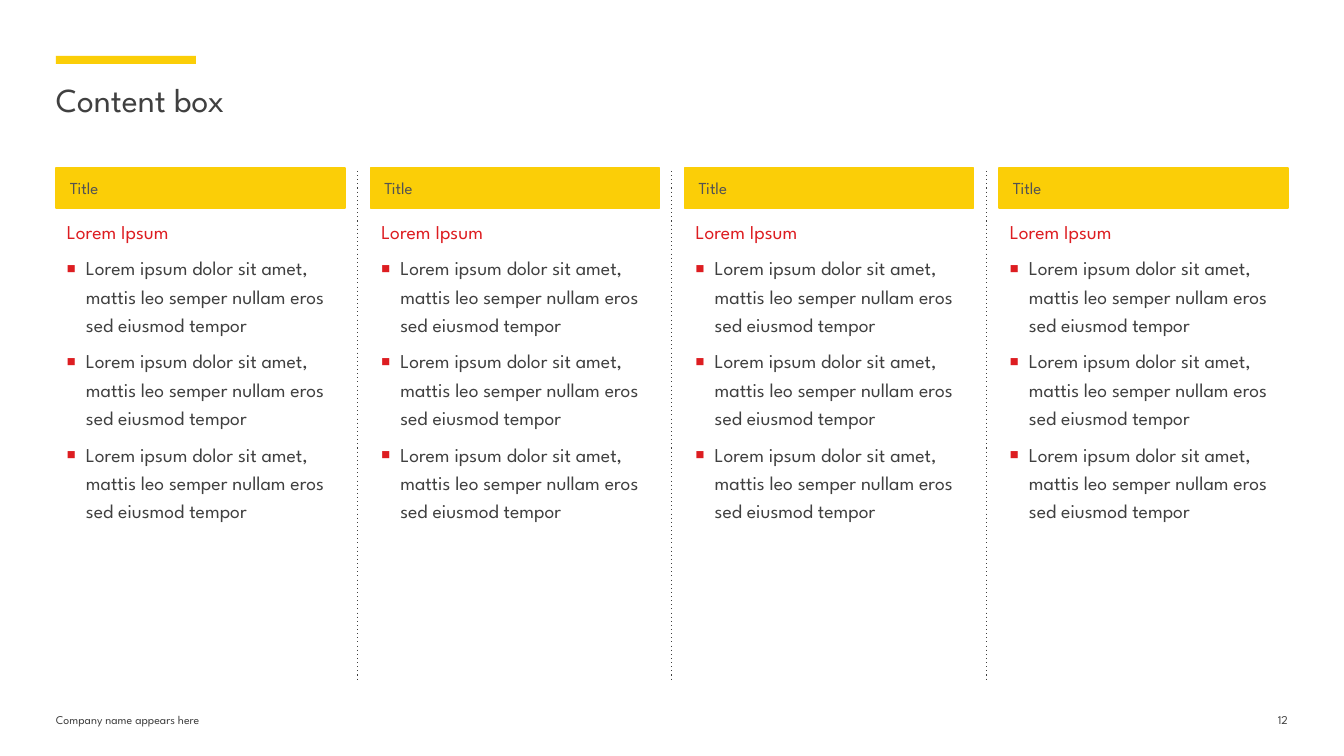
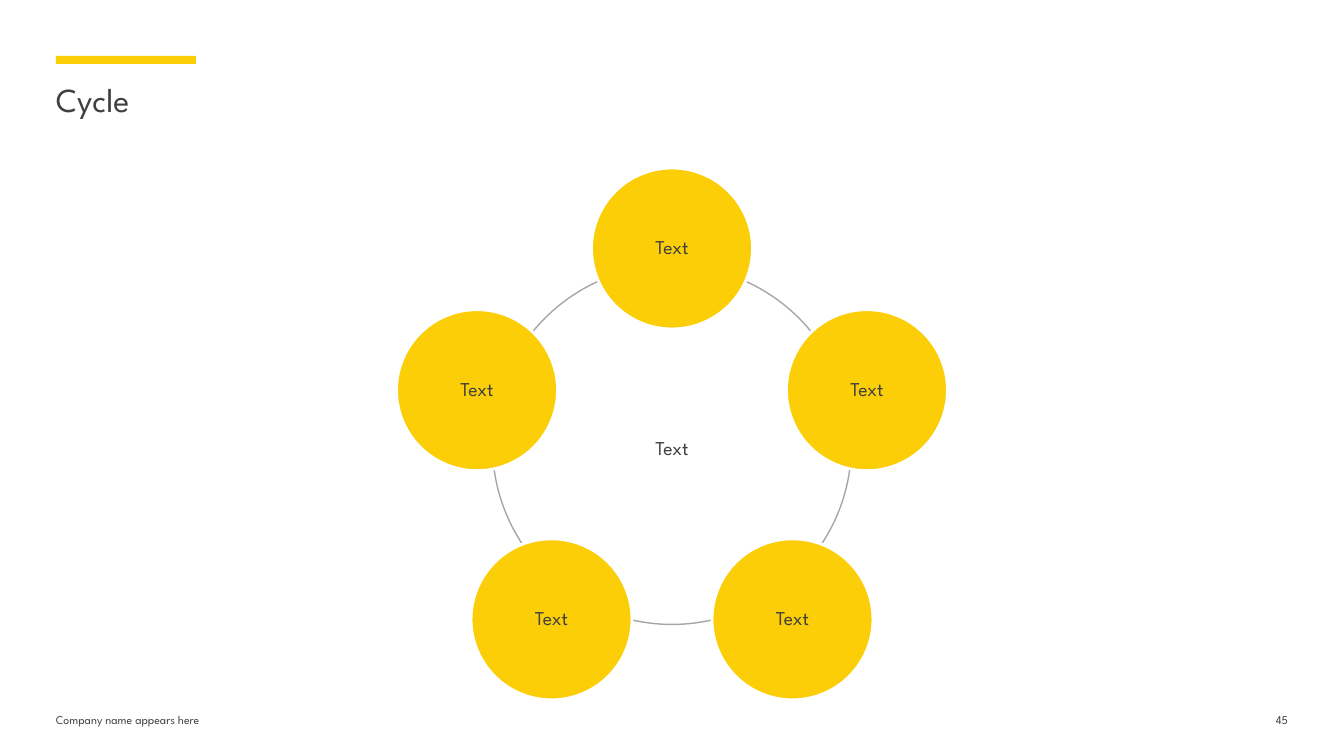
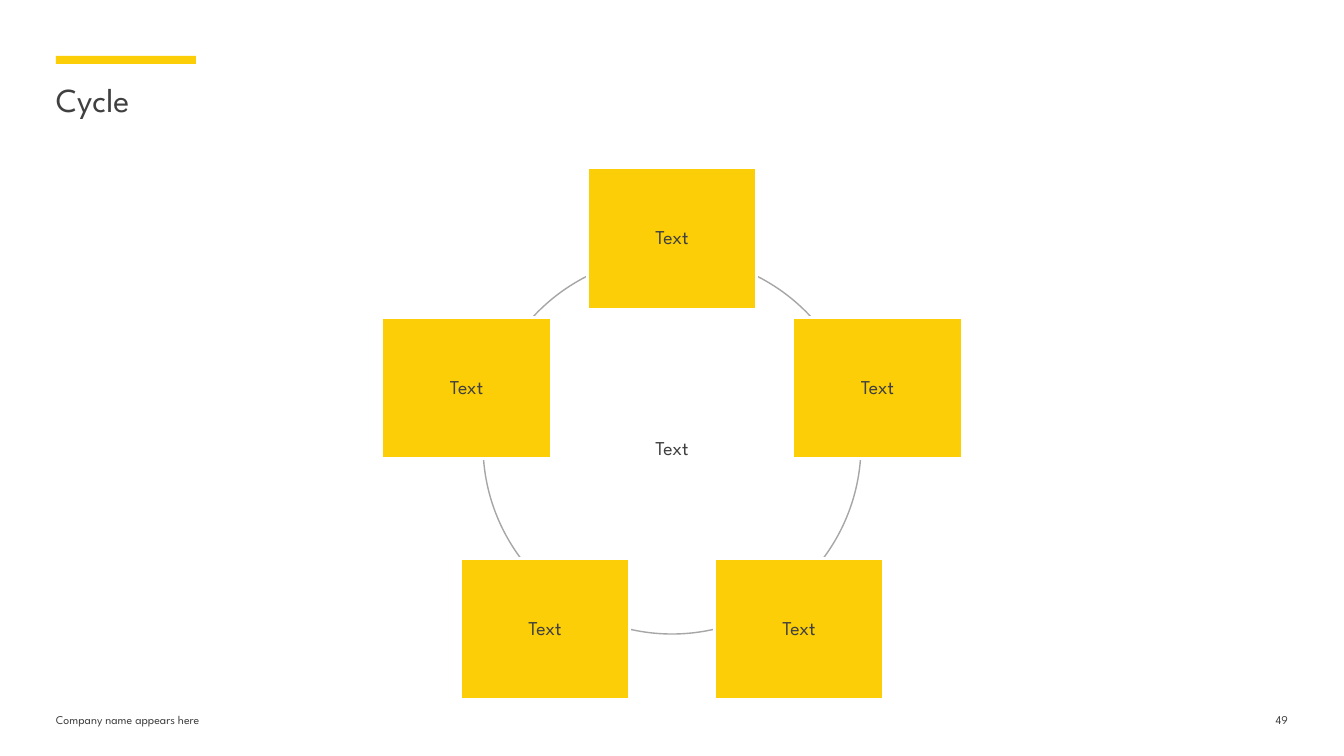
import math
from dataclasses import dataclass

from lxml import etree
from pptx import Presentation
from pptx import util as u
from pptx.dml.color import RGBColor
from pptx.enum import shapes, text
from pptx.oxml.ns import qn

EMU_PER_PX = 914400 / 100.8


def px(length):
    return u.Emu(round(length * EMU_PER_PX))


@dataclass(frozen=True)
class Theme:
    font: str = "League Spartan"
    yellow: str = "FBCE07"
    red: str = "DD1D21"
    ink: str = "404040"
    band_ink: str = "535353"
    grey: str = "A6A6A6"
    white: str = "FFFFFF"
    title_size: float = 24
    text_size: float = 14
    band_size: float = 12
    footer_size: float = 8.5


THEME = Theme()
WIDTH, HEIGHT = 1344, 756
MARGIN = 56
CONTENT_WIDTH = WIDTH - 2 * MARGIN
CONTENT_TOP = 168
TITLE_ONLY, COMPARISON = 5, 4
LEFT, CENTER, RIGHT = text.PP_ALIGN.LEFT, text.PP_ALIGN.CENTER, text.PP_ALIGN.RIGHT
TOP, MIDDLE = text.MSO_ANCHOR.TOP, text.MSO_ANCHOR.MIDDLE
RECTANGLE, OVAL = shapes.MSO_SHAPE.RECTANGLE, shapes.MSO_SHAPE.OVAL


class Deck:
    def __init__(self, theme):
        self.theme = theme
        self.deck = Presentation()
        self.deck.slide_width, self.deck.slide_height = px(WIDTH), px(HEIGHT)
        self.slide = None

    def new_slide(self, heading, number, layout=TITLE_ONLY):
        self.slide = self.deck.slides.add_slide(self.deck.slide_layouts[layout])
        self.shape(RECTANGLE, (MARGIN, 56, 140, 8), self.theme.yellow)
        title = self.slide.shapes.title
        self.place(title, (MARGIN, 79, CONTENT_WIDTH, 82))
        self.frame(title, (0, 0, 0, 0))
        self.add_words(title.text_frame.paragraphs[0], heading, self.theme.title_size)
        self.footer("Company name appears here", (MARGIN, 713, 370, 26), LEFT)
        self.footer(number, (1248, 713, 40, 26), RIGHT)

    def place(self, item, box):
        item.left, item.top, item.width, item.height = map(px, box)

    def frame(self, item, insets, anchor=TOP):
        area = item.text_frame
        area.word_wrap = True
        area.auto_size = text.MSO_AUTO_SIZE.NONE
        area.vertical_anchor = anchor
        (area.margin_left, area.margin_top,
         area.margin_right, area.margin_bottom) = map(px, insets)

    def add_words(self, paragraph, words, size, color=None, align=LEFT, spacing=1.0, after=0):
        paragraph.alignment = align
        paragraph.line_spacing = spacing
        paragraph.space_before = u.Pt(0)
        paragraph.space_after = u.Pt(after)
        run = paragraph.add_run()
        run.text = words
        run.font.name = self.theme.font
        run.font.size = u.Pt(size)
        run.font.bold = False
        run.font.color.rgb = RGBColor.from_string(color or self.theme.ink)

    def footer(self, words, box, align):
        note = self.slide.shapes.add_textbox(*map(px, box))
        self.frame(note, (0, 0, 0, 5))
        self.add_words(note.text_frame.paragraphs[0], words, self.theme.footer_size, align=align)

    def shape(self, kind, box, fill, line=None, line_width=1):
        item = self.slide.shapes.add_shape(kind, *map(px, box))
        item.shadow.inherit = False
        item.fill.solid()
        item.fill.fore_color.rgb = RGBColor.from_string(fill)
        if line:
            item.line.color.rgb = RGBColor.from_string(line)
            item.line.width = u.Pt(line_width)
        else:
            item.line.fill.background()
        return item

    def band(self, box, words):
        band = self.shape(RECTANGLE, box, self.theme.yellow, self.theme.yellow)
        self.frame(band, (14, 5, 7, 5), MIDDLE)
        self.add_words(band.text_frame.paragraphs[0], words, self.theme.band_size,
                       self.theme.band_ink)

    def bullet(self, paragraph, indent=0):
        props = paragraph._p.get_or_add_pPr()
        props.set("marL", str(px(indent)))
        props.set("indent", str(-px(indent)))
        if not indent:
            etree.SubElement(props, qn("a:buNone"))
            return
        tint = etree.SubElement(props, qn("a:buClr"))
        etree.SubElement(tint, qn("a:srgbClr"), val=self.theme.red)
        etree.SubElement(props, qn("a:buSzPct"), val="75000")
        etree.SubElement(props, qn("a:buChar"), char="■")

    def bullet_list(self, body, box, heading, points):
        self.place(body, box)
        self.frame(body, (11, 7, 11, 1))
        lead = body.text_frame.paragraphs[0]
        self.bullet(lead)
        self.add_words(lead, heading, self.theme.text_size, self.theme.red, spacing=1.2, after=6)
        for point in points:
            entry = body.text_frame.add_paragraph()
            self.bullet(entry, 19)
            self.add_words(entry, point, self.theme.text_size, spacing=1.2, after=6)

    def divider(self, x, top, bottom):
        rule = self.slide.shapes.add_connector(
            shapes.MSO_CONNECTOR.STRAIGHT, px(x), px(top), px(x), px(bottom))
        rule.line.color.rgb = RGBColor.from_string(self.theme.ink)
        rule.line.width = u.Pt(0.75)
        props = rule._element.spPr
        etree.SubElement(props.find(qn("a:ln")), qn("a:prstDash"), val="dot")
        etree.SubElement(props, qn("a:effectLst"))

    def cycle(self, hub, nodes, kind, node_size, orbit, ring_size):
        center_x, ring_y = WIDTH / 2, 445
        ring = self.shape(OVAL, (center_x - ring_size / 2, ring_y - ring_size / 2,
                                 ring_size, ring_size), self.theme.white, self.theme.grey)
        self.frame(ring, (10, 5, 10, 5), MIDDLE)
        self.add_words(ring.text_frame.paragraphs[0], hub, self.theme.text_size,
                       align=CENTER, spacing=1.2)
        width, height = node_size
        orbit_y = CONTENT_TOP + height / 2 + orbit
        for step, words in enumerate(nodes):
            angle = 2 * math.pi * step / len(nodes)
            left = center_x + orbit * math.sin(angle) - width / 2
            top = orbit_y - orbit * math.cos(angle) - height / 2
            node = self.shape(kind, (left, top, width, height),
                              self.theme.yellow, self.theme.white, 2)
            self.frame(node, (22, 22, 22, 22), MIDDLE)
            self.add_words(node.text_frame.paragraphs[0], words, self.theme.text_size,
                           align=CENTER, spacing=0.9, after=5)


def content_boxes(deck):
    deck.new_slide("Content box", "12", COMPARISON)
    points = ["Lorem ipsum dolor sit amet, mattis leo semper nullam eros sed eiusmod tempor"] * 3
    bodies = list(deck.slide.placeholders)[1:]
    column, band_height = 289, 40
    gap = (CONTENT_WIDTH - column * len(bodies)) / (len(bodies) - 1)
    for index, body in enumerate(bodies):
        left = MARGIN + index * (column + gap)
        deck.band((left, CONTENT_TOP, column, band_height), "Title")
        deck.bullet_list(body, (left, CONTENT_TOP + band_height, column, 484),
                         "Lorem Ipsum", points)
        if index:
            deck.divider(left - gap / 2, 171, 680)


def main():
    deck = Deck(THEME)
    content_boxes(deck)
    nodes = ["Text"] * 5
    deck.new_slide("Cycle", "45")
    deck.cycle("Text", nodes, OVAL, (161, 161), 205, 359)
    deck.new_slide("Cycle", "49")
    deck.cycle("Text", nodes, RECTANGLE, (169, 141), 216, 378)
    deck.deck.save("out.pptx")


if __name__ == "__main__":
    main()
